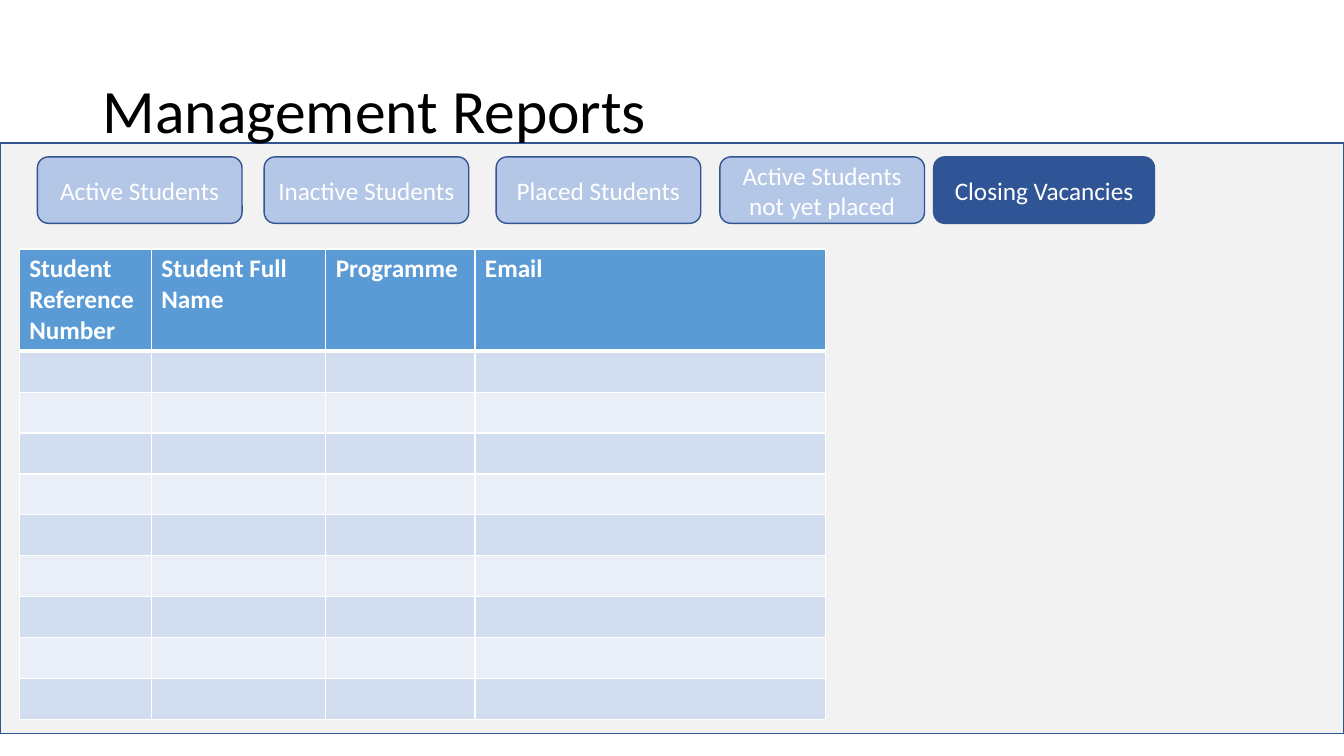
from dataclasses import dataclass

from lxml.etree import SubElement
from pptx import Presentation
from pptx.dml.color import RGBColor
from pptx.enum.shapes import MSO_SHAPE
from pptx.enum.text import MSO_ANCHOR, MSO_AUTO_SIZE, PP_ALIGN
from pptx.oxml.ns import qn
from pptx.shapes.autoshape import Shape
from pptx.slide import Slide
from pptx.table import _Cell as Cell
from pptx.text.text import TextFrame
from pptx.util import Emu, Inches, Pt

SLIDE_WIDTH = Inches(13.33)
SLIDE_HEIGHT = Inches(7.5)
FONT_NAME = "Calibri"

BLACK = RGBColor(0x00, 0x00, 0x00)
WHITE = RGBColor(0xFF, 0xFF, 0xFF)
PANEL_GREY = RGBColor(0xF2, 0xF2, 0xF2)
OUTLINE_BLUE = RGBColor(0x32, 0x54, 0x91)
TAB_BLUE = RGBColor(0xB4, 0xC7, 0xE7)
SELECTED_BLUE = RGBColor(0x2F, 0x55, 0x97)
HEADER_BLUE = RGBColor(0x5B, 0x9B, 0xD5)
BAND_DARK = RGBColor(0xD2, 0xDE, 0xEF)
BAND_LIGHT = RGBColor(0xEA, 0xEF, 0xF7)


@dataclass(frozen=True)
class Area:
    left: float
    top: float
    width: float
    height: float

    def box(self) -> tuple[Emu, Emu, Emu, Emu]:
        return across(self.left), down(self.top), across(self.width), down(self.height)


@dataclass(frozen=True)
class ReportTab:
    label: str
    left: float
    width: float = 15.23
    fill: RGBColor = TAB_BLUE


@dataclass(frozen=True)
class ReportColumn:
    heading: str
    width: float


TITLE_AREA = Area(6.9, 5.33, 86.27, 19.33)
PANEL_AREA = Area(0, 18.93, 100, 78.13)
TABLE_AREA = Area(1.43, 32.93, 60.02, 62.1)
TAB_TOP = 20.75
TAB_HEIGHT = 8.8
HEADER_HEIGHT = 13.5
BODY_ROWS = 9

TABS = (
    ReportTab("Active Students", 2.78),
    ReportTab("Inactive Students", 19.65),
    ReportTab("Placed Students", 36.91),
    ReportTab("Active Students not yet placed", 53.56),
    ReportTab("Closing Vacancies", 69.47, 16.43, SELECTED_BLUE),
)
COLUMNS = (
    ReportColumn("Student Reference Number", 9.83),
    ReportColumn("Student Full Name", 12.98),
    ReportColumn("Programme", 11.1),
    ReportColumn("Email", 26.11),
)


def across(percent: float) -> Emu:
    return Emu(round(SLIDE_WIDTH * percent / 100))


def down(percent: float) -> Emu:
    return Emu(round(SLIDE_HEIGHT * percent / 100))


def write(frame: TextFrame, text: str, size: int, color: RGBColor,
          alignment: PP_ALIGN = PP_ALIGN.LEFT, bold: bool = False) -> None:
    paragraph = frame.paragraphs[0]
    paragraph.alignment = alignment
    run = paragraph.add_run()
    run.text = text
    run.font.name = FONT_NAME
    run.font.size = Pt(size)
    run.font.bold = bold
    run.font.color.rgb = color


def add_block(slide: Slide, kind: MSO_SHAPE, area: Area, fill: RGBColor) -> Shape:
    shape = slide.shapes.add_shape(kind, *area.box())
    shape.shadow.inherit = False
    shape.fill.solid()
    shape.fill.fore_color.rgb = fill
    shape.line.color.rgb = OUTLINE_BLUE
    shape.line.width = Pt(1)
    return shape


def add_title(slide: Slide) -> None:
    title = slide.shapes.title
    title.left, title.top, title.width, title.height = TITLE_AREA.box()
    frame = title.text_frame
    frame.auto_size = MSO_AUTO_SIZE.NONE
    frame.vertical_anchor = MSO_ANCHOR.MIDDLE
    frame.paragraphs[0].line_spacing = 0.9
    write(frame, "Management Reports", 44, BLACK)


def add_tab(slide: Slide, tab: ReportTab) -> None:
    area = Area(tab.left, TAB_TOP, tab.width, TAB_HEIGHT)
    shape = add_block(slide, MSO_SHAPE.ROUNDED_RECTANGLE, area, tab.fill)
    shape.text_frame.word_wrap = True
    shape.text_frame.vertical_anchor = MSO_ANCHOR.MIDDLE
    write(shape.text_frame, tab.label, 18, WHITE, PP_ALIGN.CENTER)


def format_cell(cell: Cell, row: int) -> None:
    properties = cell._tc.get_or_add_tcPr()
    top, bottom = (3 if edge == 1 else 1 for edge in (row, row + 1))
    for side, width in (("L", 1), ("R", 1), ("T", top), ("B", bottom)):
        border = SubElement(properties, qn(f"a:ln{side}"), w=str(Pt(width)))
        fill = SubElement(border, qn("a:solidFill"))
        SubElement(fill, qn("a:srgbClr"), val=str(WHITE))
    cell.fill.solid()
    band = BAND_DARK if row % 2 else BAND_LIGHT
    cell.fill.fore_color.rgb = band if row else HEADER_BLUE


def add_report_table(slide: Slide) -> None:
    frame = slide.shapes.add_table(BODY_ROWS + 1, len(COLUMNS), *TABLE_AREA.box())
    table = frame.table
    body_height = (TABLE_AREA.height - HEADER_HEIGHT) / BODY_ROWS
    for index, row in enumerate(table.rows):
        row.height = down(body_height if index else HEADER_HEIGHT)
        for cell in row.cells:
            format_cell(cell, index)
    for index, column in enumerate(COLUMNS):
        table.columns[index].width = across(column.width)
        write(table.cell(0, index).text_frame, column.heading, 18, WHITE, bold=True)


def main() -> None:
    presentation = Presentation()
    presentation.slide_width = SLIDE_WIDTH
    presentation.slide_height = SLIDE_HEIGHT
    slide = presentation.slides.add_slide(presentation.slide_layouts[5])
    add_title(slide)
    panel = add_block(slide, MSO_SHAPE.RECTANGLE, PANEL_AREA, PANEL_GREY)
    slide.shapes.title.element.addprevious(panel.element)
    add_report_table(slide)
    for tab in TABS:
        add_tab(slide, tab)
    presentation.save("out.pptx")


if __name__ == "__main__":
    main()
